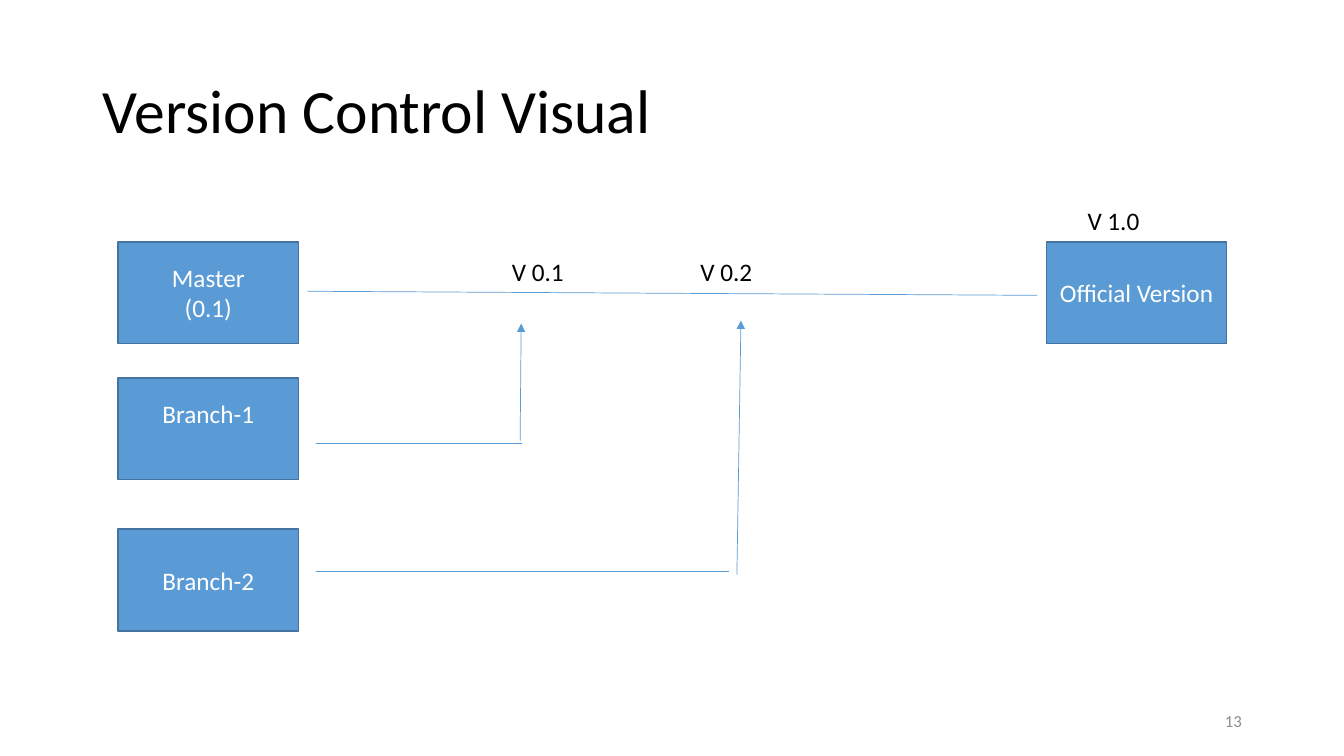
"""Builds the version control slide; lengths are percentages of the slide's size."""
import pptx
import pptx.dml.color
import pptx.enum.shapes
import pptx.enum.text
import pptx.oxml
import pptx.oxml.ns
import pptx.util

WIDTH = pptx.util.Inches(13.33)
HEIGHT = pptx.util.Inches(7.5)
COLORS = {"fill": "5B9BD5", "border": "43739E", "text": "000000",
          "box_text": "FFFFFF", "number": "8C8C8C"}
ALIGN = pptx.enum.text.PP_ALIGN
ANCHOR = pptx.enum.text.MSO_ANCHOR
BOX_W, BOX_H = 13.43, 13.47
LEFT_COL, RIGHT_COL = 8.78, 77.85
ROWS = (32, 50, 70)
LINE_LEFT = 23.48


def rgb(name):
    """Return the named colour."""
    return pptx.dml.color.RGBColor.from_string(COLORS[name])


def across(share):
    """Return a percentage of the slide's width."""
    return round(WIDTH * share / 100)


def down(share):
    """Return a percentage of the slide's height."""
    return round(HEIGHT * share / 100)


def area(x, y, w, h):
    """Return left, top, width and height as lengths."""
    return across(x), down(y), across(w), down(h)


def apply(obj, values):
    """Set each attribute in values on obj."""
    for name, value in values.items():
        setattr(obj, name, value)


def write(tf, lines, size, color, align=ALIGN.LEFT, **frame):
    """Write one paragraph per line into a text frame."""
    apply(tf, {"word_wrap": True, "vertical_anchor": ANCHOR.MIDDLE, **frame})
    for i, line in enumerate(lines):
        p = tf.paragraphs[0] if i == 0 else tf.add_paragraph()
        p.alignment = align
        r = p.add_run()
        r.text = line
        apply(r.font, {"name": "Calibri", "size": pptx.util.Pt(size)})
        r.font.color.rgb = rgb(color)


def add_title(s, text):
    """Place and format the title placeholder."""
    sp = s.shapes.title
    apply(sp, dict(zip(("left", "top", "width", "height"), area(6.9, 5.33, 86.25, 19.33))))
    write(sp.text_frame, [text], 44, "text", auto_size=pptx.enum.text.MSO_AUTO_SIZE.NONE)
    sp.text_frame.paragraphs[0].line_spacing = 0.9


def add_box(s, x, y, lines, **frame):
    """Add a blue box with centred text."""
    sp = s.shapes.add_shape(pptx.enum.shapes.MSO_SHAPE.RECTANGLE, *area(x, y, BOX_W, BOX_H))
    sp.shadow.inherit = False
    sp.fill.solid()
    sp.fill.fore_color.rgb = rgb("fill")
    sp.line.color.rgb = rgb("border")
    sp.line.width = pptx.util.Pt(1)
    write(sp.text_frame, lines, 18, "box_text", ALIGN.CENTER, **frame)


def add_label(s, x, y, text, w=10, size=18, color="text", **frame):
    """Add a one-line text box."""
    sp = s.shapes.add_textbox(*area(x, y, w, 5.33))
    write(sp.text_frame, [text], size, color, **frame)


def add_line(s, x1, y1, x2, y2, arrow=False):
    """Add a thin line, with an arrowhead at its end if asked."""
    cx = s.shapes.add_connector(pptx.enum.shapes.MSO_CONNECTOR.STRAIGHT,
                                across(x1), down(y1), across(x2), down(y2))
    cx.line.color.rgb = rgb("fill")
    cx.line.width = pptx.util.Pt(0.5)
    if arrow:
        tail = pptx.oxml.parse_xml(f'<a:tailEnd {pptx.oxml.ns.nsdecls("a")} type="triangle"/>')
        cx.line._get_or_add_ln().append(tail)
    effects = pptx.oxml.parse_xml(f'<a:effectLst {pptx.oxml.ns.nsdecls("a")}/>')
    cx._element.spPr.append(effects)


def main():
    """Build and save the slide."""
    prs = pptx.Presentation()
    apply(prs, {"slide_width": WIDTH, "slide_height": HEIGHT})
    s = prs.slides.add_slide(prs.slide_layouts[5])
    add_title(s, "Version Control Visual")

    master, branch_1, branch_2 = ROWS
    add_box(s, LEFT_COL, master, ["Master", "(0.1)"])
    add_box(s, RIGHT_COL, master, ["Official Version"])
    add_box(s, LEFT_COL, branch_1, ["Branch-1"], margin_bottom=pptx.util.Inches(0.35))
    add_box(s, LEFT_COL, branch_2, ["Branch-2"])

    add_line(s, 22.88, 38.53, 77.18, 39.07)
    add_line(s, LINE_LEFT, 58.67, 38.85, 58.67)
    add_line(s, 38.7, 58.4, 38.78, 42.8, arrow=True)
    add_line(s, LINE_LEFT, 75.6, 54.23, 75.6)
    add_line(s, 54.83, 76, 55.13, 42.4, arrow=True)

    for x, y, text in ((37.35, 33.2, "V 0.1"), (51.38, 33.2, "V 0.2"), (80.18, 26.53, "V 1.0")):
        add_label(s, x, y, text, vertical_anchor=ANCHOR.TOP)
    add_label(s, 70.65, 92.67, "13", w=22.5, size=12, color="number", align=ALIGN.RIGHT)
    prs.save("out.pptx")


if __name__ == "__main__":
    main()
